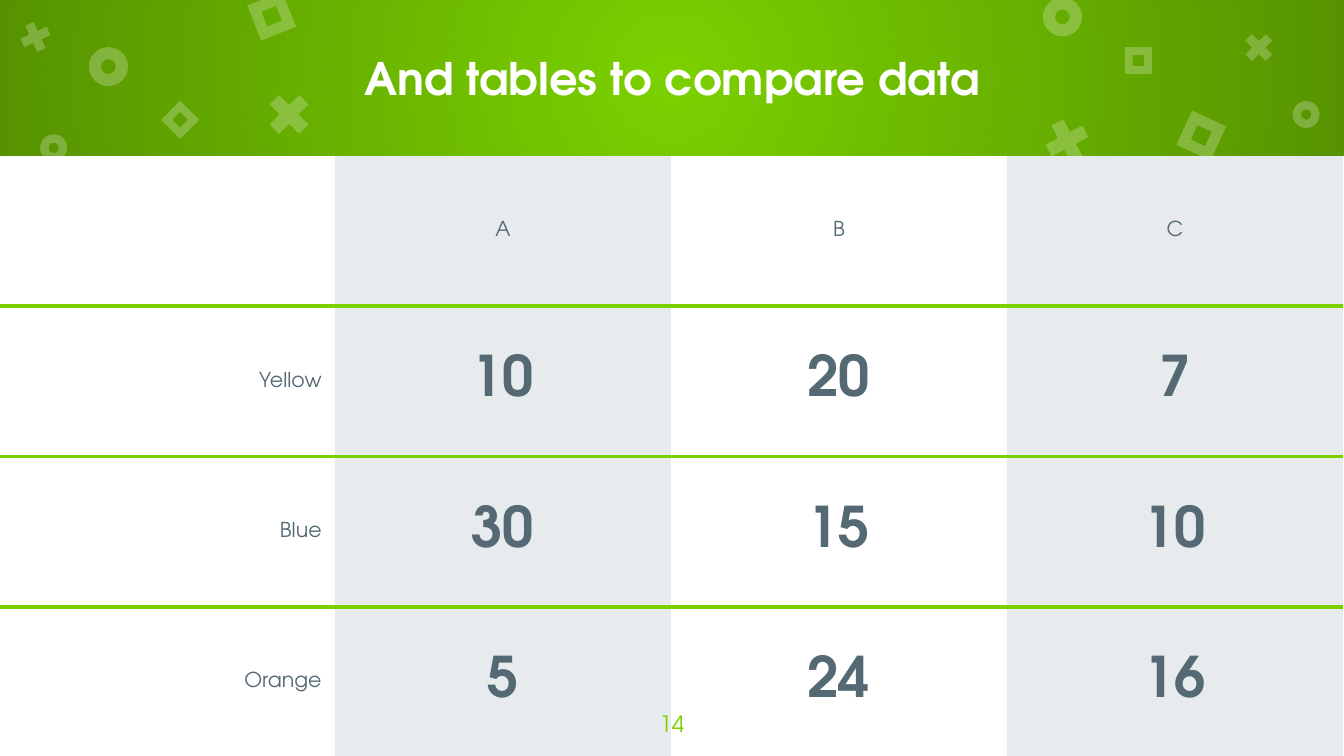
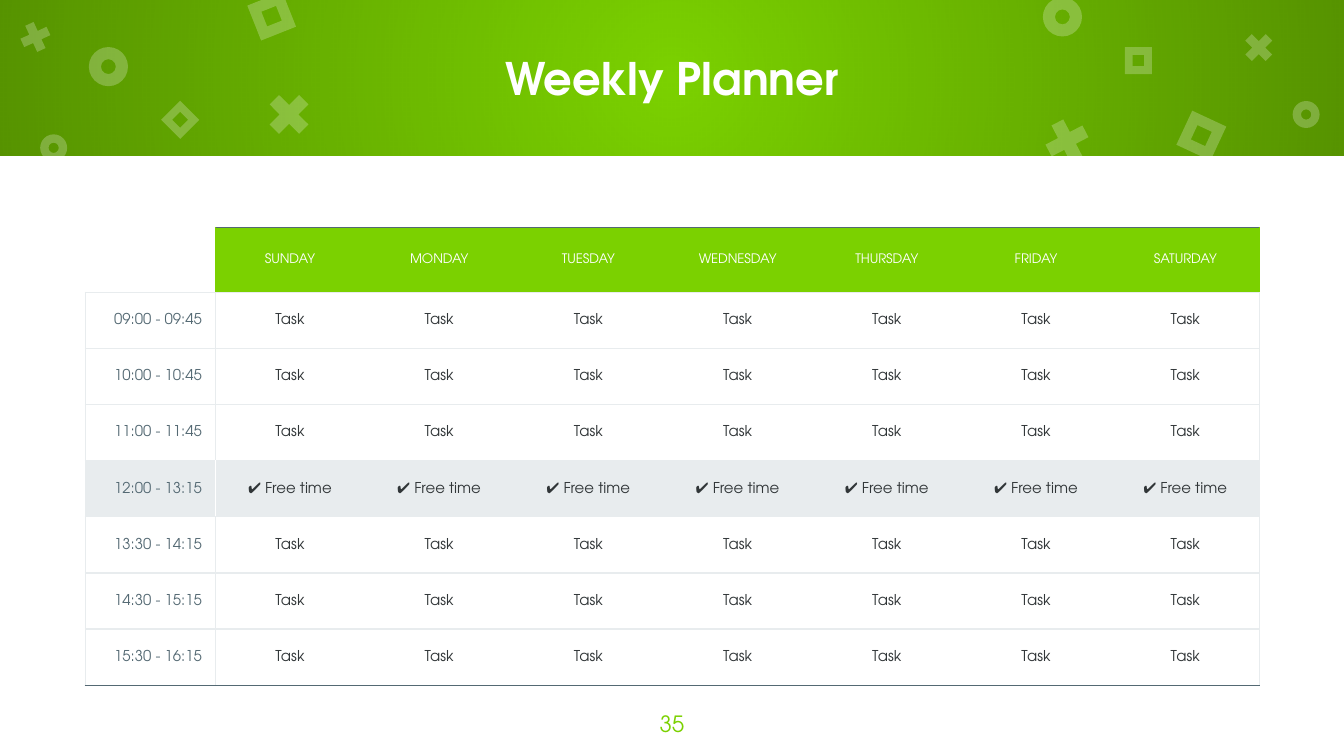
from dataclasses import dataclass, field

from lxml import etree
from pptx import Presentation
from pptx import util as u
from pptx.dml.color import RGBColor
from pptx.enum import shapes, text
from pptx.oxml.ns import qn

FONT = "TeX Gyre Adventor"
GREEN, WHITE, BLACK = "7BD100", "FFFFFF", "000000"
SLATE, STEEL, MIST, INK = "546973", "667F8C", "E8ECEE", "313638"

SLIDE_WIDTH, SLIDE_HEIGHT, BAND_HEIGHT = 25.4, 14.29, 2.95
CENTER, RIGHT = text.PP_ALIGN.CENTER, text.PP_ALIGN.RIGHT
DONUT = shapes.MSO_SHAPE.DONUT
CROSS = shapes.MSO_SHAPE.MATH_MULTIPLY
FRAME = shapes.MSO_SHAPE.FRAME
ADJUSTMENTS = {DONUT: 0.31, CROSS: 0.235, FRAME: 0.289}


@dataclass
class Ornament:
    kind: shapes.MSO_SHAPE
    left: float
    top: float
    size: float
    rotation: float = 0


@dataclass
class TextStyle:
    size: float
    color: str
    align: text.PP_ALIGN = CENTER
    bold: bool = False


@dataclass
class Cell:
    words: str
    style: TextStyle
    fill: str | None = None
    opacity: int = 100
    borders: dict[str, str] = field(default_factory=dict)


@dataclass
class Grid:
    left: float
    top: float
    widths: list[float]
    heights: list[float]
    margin: float
    border_width: float
    rows: list[list[Cell]]


ORNAMENTS = [
    Ornament(DONUT, 1.68, 0.89, 0.74),
    Ornament(CROSS, 4.93, 1.63, 1.07),
    Ornament(FRAME, 4.78, -0.05, 0.71, 338.4),
    Ornament(DONUT, 19.71, -0.05, 0.74),
    Ornament(CROSS, 19.63, 2.13, 1.07, 17.5),
    Ornament(FRAME, 22.35, 2.21, 0.71, 25),
    Ornament(DONUT, 0.76, 2.54, 0.51),
    Ornament(CROSS, 0.3, 0.33, 0.74, 20.4),
    Ornament(FRAME, 3.15, 2.01, 0.51, 45),
    Ornament(DONUT, 24.43, 1.91, 0.51),
    Ornament(CROSS, 23.42, 0.53, 0.74),
    Ornament(FRAME, 21.26, 0.89, 0.51),
]


def rgb(color: str) -> RGBColor:
    return RGBColor.from_string(color)


def add_color(parent, color: str, opacity: int = 100) -> None:
    """Append an a:srgbClr with the given opacity in percent."""
    node = etree.SubElement(parent, qn("a:srgbClr"), val=color)
    if opacity < 100:
        etree.SubElement(node, qn("a:alpha"), val=str(opacity * 1000))


def set_fill(fill, properties, color: str, opacity: int = 100) -> None:
    fill.solid()
    fill.fore_color.rgb = rgb(color)
    if opacity < 100:
        solid = properties.find(qn("a:solidFill"))
        solid.clear()
        add_color(solid, color, opacity)


def add_filled_shape(slide, kind, left: float, top: float, width: float, height: float,
                     color: str, opacity: int = 100):
    shape = slide.shapes.add_shape(kind, u.Cm(left), u.Cm(top), u.Cm(width), u.Cm(height))
    shape.shadow.inherit = False
    shape.line.fill.background()
    set_fill(shape.fill, shape._element.spPr, color, opacity)
    return shape


def shade_edges(shape) -> None:
    """Radial gradient from clear in the middle to translucent black outside."""
    properties = shape._element.spPr
    solid = properties.find(qn("a:solidFill"))
    gradient = etree.Element(qn("a:gradFill"), rotWithShape="1")
    stops = etree.SubElement(gradient, qn("a:gsLst"))
    for position, opacity in ((0, 0), (100, 30)):
        stop = etree.SubElement(stops, qn("a:gs"), pos=str(position * 1000))
        add_color(stop, BLACK, opacity)
    circle = etree.SubElement(gradient, qn("a:path"))
    circle.set("path", "circle")
    etree.SubElement(circle, qn("a:fillToRect"), {side: "50000" for side in "ltrb"})
    properties.replace(solid, gradient)


def decorate_layout(layout, slide) -> None:
    """Draw the shared backdrop on a slide, then move it to the layout."""
    layout.background.fill.solid()
    layout.background.fill.fore_color.rgb = rgb(GREEN)
    for placeholder in list(layout.placeholders):
        if placeholder.placeholder_format.idx != 0:
            placeholder._element.getparent().remove(placeholder._element)

    rectangle = shapes.MSO_SHAPE.RECTANGLE
    band = add_filled_shape(slide, rectangle, 0, 0, SLIDE_WIDTH, BAND_HEIGHT, BLACK)
    shade_edges(band)
    panel = add_filled_shape(slide, rectangle, 0, BAND_HEIGHT, SLIDE_WIDTH,
                             SLIDE_HEIGHT - BAND_HEIGHT, WHITE)
    backdrop = [band, panel]
    for ornament in ORNAMENTS:
        shape = add_filled_shape(slide, ornament.kind, ornament.left, ornament.top,
                                 ornament.size, ornament.size, WHITE, 24)
        shape.adjustments[0] = ADJUSTMENTS[ornament.kind]
        shape.rotation = ornament.rotation
        backdrop.append(shape)
    for shape in backdrop:
        layout.shapes._spTree.append(shape._element)


def set_margins(frame, horizontal: float, vertical: float) -> None:
    frame.margin_left = frame.margin_right = u.Cm(horizontal)
    frame.margin_top = frame.margin_bottom = u.Cm(vertical)


def write(frame, words: str, style: TextStyle) -> None:
    paragraph = frame.paragraphs[0]
    paragraph.alignment = style.align
    run = paragraph.add_run()
    run.text = words
    run.font.name = FONT
    run.font.size = u.Pt(style.size)
    run.font.bold = style.bold
    run.font.color.rgb = rgb(style.color)


def set_title(slide, words: str) -> None:
    title = slide.shapes.title
    title.left, title.top = u.Cm(1.27), u.Cm(0)
    title.width, title.height = u.Cm(22.86), u.Cm(BAND_HEIGHT)
    set_margins(title.text_frame, 0.25, 0.25)
    title.text_frame.vertical_anchor = text.MSO_ANCHOR.MIDDLE
    write(title.text_frame, words, TextStyle(24, WHITE, bold=True))


def add_page_number(slide, number: int) -> None:
    box = slide.shapes.add_textbox(u.Cm(11.94), u.Cm(13.18), u.Cm(1.52), u.Cm(1.09))
    box.text_frame.word_wrap = True
    set_margins(box.text_frame, 0.25, 0.25)
    write(box.text_frame, str(number), TextStyle(12, GREEN))


def set_borders(properties, borders: dict[str, str], width: float) -> None:
    """Draw the sides named in borders and clear the others."""
    for index, side in enumerate("LRTB"):
        line = etree.Element(qn(f"a:ln{side}"), w=str(u.Pt(width)))
        if side in borders:
            add_color(etree.SubElement(line, qn("a:solidFill")), borders[side])
        else:
            etree.SubElement(line, qn("a:noFill"))
        properties.insert(index, line)


def add_grid(slide, grid: Grid) -> None:
    table = slide.shapes.add_table(
        len(grid.heights), len(grid.widths), u.Cm(grid.left), u.Cm(grid.top),
        u.Cm(sum(grid.widths)), u.Cm(sum(grid.heights))).table
    table.first_row = table.horz_banding = False
    for column, width in zip(table.columns, grid.widths):
        column.width = u.Cm(width)
    for row, height, cells in zip(table.rows, grid.heights, grid.rows):
        row.height = u.Cm(height)
        for target, cell in zip(row.cells, cells):
            set_margins(target, 0.25, grid.margin if cell.words else 0.1)
            target.vertical_anchor = text.MSO_ANCHOR.MIDDLE
            properties = target._tc.get_or_add_tcPr()
            if cell.fill:
                set_fill(target.fill, properties, cell.fill, cell.opacity)
            else:
                target.fill.background()
            set_borders(properties, cell.borders, grid.border_width)
            if cell.words:
                write(target.text_frame, cell.words, cell.style)


def comparison_grid() -> Grid:
    lines = [
        ["", "A", "B", "C"],
        ["Yellow", "10", "20", "7"],
        ["Blue", "30", "15", "10"],
        ["Orange", "5", "24", "16"],
    ]
    heading = TextStyle(11, SLATE)
    label = TextStyle(11, SLATE, RIGHT)
    figure = TextStyle(30, SLATE, bold=True)
    rows = []
    for r, line in enumerate(lines):
        borders = {}
        if r > 0:
            borders["T"] = GREEN
        if r < len(lines) - 1:
            borders["B"] = GREEN
        rows.append([
            Cell(words, heading if r == 0 else label if c == 0 else figure,
                 STEEL if c % 2 else None, 15, borders)
            for c, words in enumerate(line)])
    return Grid(-0.02, BAND_HEIGHT, [6.35] * 4, [2.84] * 4, 0.18, 2.25, rows)


def planner_grid() -> Grid:
    days = ["SUNDAY", "MONDAY", "TUESDAY", "WEDNESDAY", "THURSDAY", "FRIDAY", "SATURDAY"]
    times = ["09:00 - 09:45", "10:00 - 10:45", "11:00 - 11:45", "12:00 - 13:15",
             "13:30 - 14:15", "14:30 - 15:15", "15:30 - 16:15"]
    free_slot = "12:00 - 13:15"
    day_style = TextStyle(7, WHITE)
    time_style = TextStyle(8, SLATE, RIGHT)
    task_style = TextStyle(8, INK)

    header = [Cell("", day_style, borders={"R": GREEN, "B": MIST})]
    for day in days:
        borders = {"T": SLATE, "B": MIST}
        if day == days[0]:
            borders["L"] = GREEN
        if day == days[-1]:
            borders["R"] = GREEN
        header.append(Cell(day, day_style, GREEN, borders=borders))

    rows = [header]
    for time in times:
        is_free = time == free_slot
        fill = MIST if is_free else None
        divider = WHITE if is_free else MIST
        edges = {"T": MIST, "B": SLATE if time == times[-1] else MIST}
        row = [Cell(time, time_style, fill, borders=edges | {"L": MIST, "R": divider})]
        row += [Cell("✔ Free time" if is_free else "Task", task_style, fill, borders=dict(edges))
                for _ in days]
        row[1].borders["L"] = divider
        row[-1].borders["R"] = MIST
        rows.append(row)
    return Grid(1.61, 4.3, [2.46] + [2.82] * len(days), [1.23] + [1.06] * len(times),
                0.25, 0.75, rows)


def main() -> None:
    presentation = Presentation()
    presentation.slide_width = u.Cm(SLIDE_WIDTH)
    presentation.slide_height = u.Cm(SLIDE_HEIGHT)
    layout = presentation.slide_layouts[5]

    comparison = presentation.slides.add_slide(layout)
    decorate_layout(layout, comparison)
    set_title(comparison, "And tables to compare data")
    add_grid(comparison, comparison_grid())
    add_page_number(comparison, 14)

    planner = presentation.slides.add_slide(layout)
    set_title(planner, "Weekly Planner")
    add_page_number(planner, 35)
    add_grid(planner, planner_grid())

    presentation.save("out.pptx")


if __name__ == "__main__":
    main()
